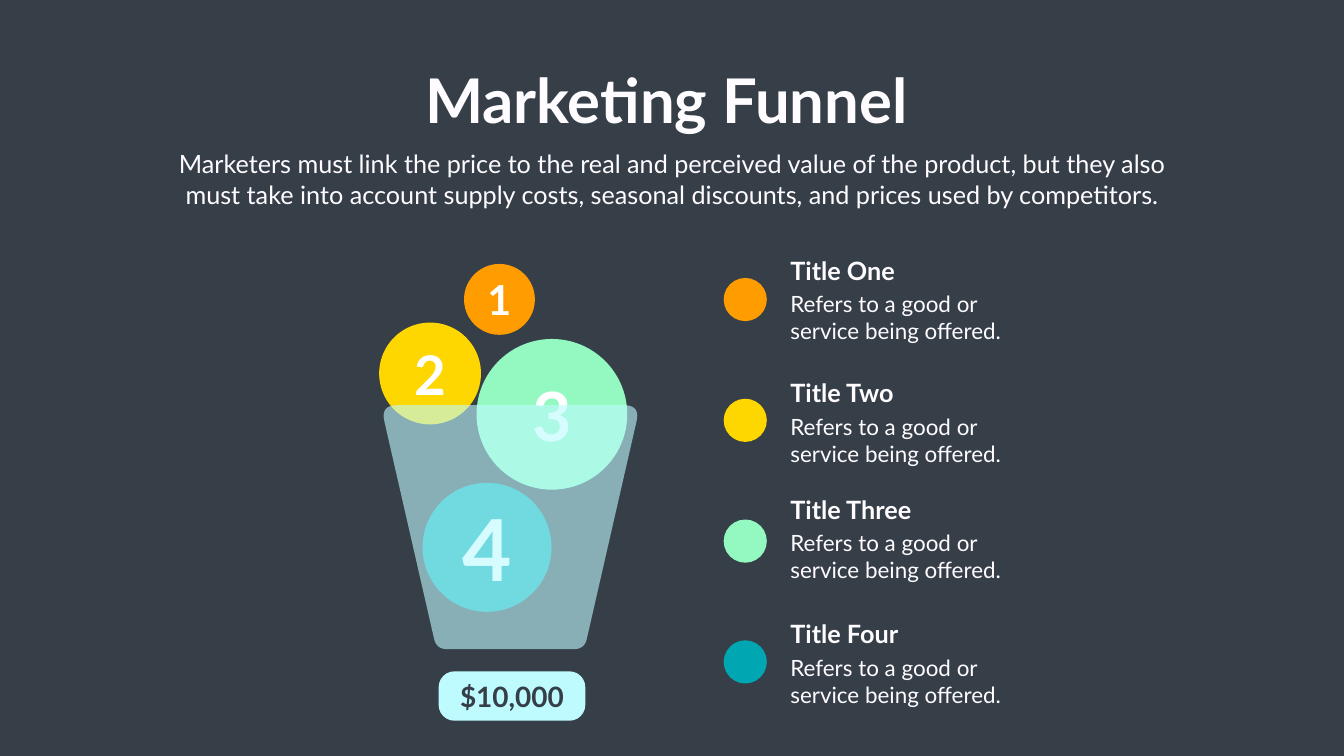
from lxml.etree import SubElement
from pptx import Presentation
from pptx.dml.color import RGBColor
from pptx.enum.shapes import MSO_SHAPE
from pptx.enum.text import MSO_ANCHOR, PP_ALIGN
from pptx.oxml.ns import qn
from pptx.util import Inches, Pt

SLATE = RGBColor(0x36, 0x3E, 0x48)
ORANGE = RGBColor(0xFF, 0x9D, 0x00)
YELLOW = RGBColor(0xFE, 0xD6, 0x00)
MINT = RGBColor(0x93, 0xF9, 0xC0)
TEAL = RGBColor(0x00, 0xA7, 0xB3)
ICE = RGBColor(0xBD, 0xFB, 0xFF)
WHITE = RGBColor(0xFF, 0xFF, 0xFF)
PALE = RGBColor(0xFE, 0xFC, 0xFF)

COLUMNS, ROWS = 80, 45
ARC_STEPS = 10


class SlideBuilder:
    font = "Lato"

    def __init__(self, deck):
        self.page = deck.slides.add_slide(deck.slide_layouts[6])
        self.column = deck.slide_width / COLUMNS
        self.row = deck.slide_height / ROWS
        background = self.page.background.fill
        background.solid()
        background.fore_color.rgb = SLATE

    def frame(self, left, top, width, height):
        return (round(left * self.column), round(top * self.row),
                round(width * self.column), round(height * self.row))

    def paint(self, shape, color):
        shape.shadow.inherit = False
        shape.fill.solid()
        shape.fill.fore_color.rgb = color
        shape.line.fill.background()

    def set_text(self, text_frame, lines, size, color, bold, align):
        text_frame.text = "\n".join(lines)
        for paragraph in text_frame.paragraphs:
            paragraph.alignment = align
            paragraph.font.name = self.font
            paragraph.font.size = Pt(size)
            paragraph.font.bold = bold
            paragraph.font.color.rgb = color

    def text(self, area, lines, size, bold=False, align=PP_ALIGN.LEFT, wrap=False):
        box = self.page.shapes.add_textbox(*self.frame(*area))
        box.text_frame.word_wrap = wrap
        self.set_text(box.text_frame, lines, size, PALE, bold, align)

    def label(self, shape, caption, size, color):
        text_frame = shape.text_frame
        text_frame.word_wrap = False
        text_frame.vertical_anchor = MSO_ANCHOR.MIDDLE
        text_frame.margin_left = text_frame.margin_right = 0
        text_frame.margin_top = text_frame.margin_bottom = 0
        self.set_text(text_frame, [caption], size, color, True, PP_ALIGN.CENTER)

    def circle(self, center_x, center_y, diameter, color):
        area = self.frame(center_x - diameter / 2, center_y - diameter / 2, diameter, diameter)
        shape = self.page.shapes.add_shape(MSO_SHAPE.OVAL, *area)
        self.paint(shape, color)
        return shape

    def pill(self, area, caption, size):
        shape = self.page.shapes.add_shape(MSO_SHAPE.ROUNDED_RECTANGLE, *self.frame(*area))
        shape.adjustments[0] = 0.32
        self.paint(shape, ICE)
        self.label(shape, caption, size, SLATE)

    def rounded_outline(self, corners, cuts, color, opacity):
        points = []
        for index, (corner, cut) in enumerate(zip(corners, cuts)):
            neighbours = corners[index - 1], corners[(index + 1) % len(corners)]
            start, end = (toward(corner, other, cut) for other in neighbours)
            for step in range(ARC_STEPS + 1):
                t = step / ARC_STEPS
                x, y = ((1 - t) ** 2 * a + 2 * t * (1 - t) * b + t ** 2 * c
                        for a, b, c in zip(start, corner, end))
                points.append((round(x * self.column), round(y * self.row)))
        builder = self.page.shapes.build_freeform(*points[0])
        builder.add_line_segments(points[1:], close=True)
        shape = builder.convert_to_shape()
        self.paint(shape, color)
        tint = shape.element.spPr.find(qn("a:solidFill")).find(qn("a:srgbClr"))
        SubElement(tint, qn("a:alpha")).set("val", str(opacity * 1000))


def toward(point, target, distance):
    dx, dy = target[0] - point[0], target[1] - point[1]
    share = distance / (dx ** 2 + dy ** 2) ** 0.5
    return point[0] + dx * share, point[1] + dy * share


def main():
    deck = Presentation()
    deck.slide_width, deck.slide_height = Inches(26.66), Inches(15)
    slide = SlideBuilder(deck)

    slide.text((24.64, 3.51, 30.04, 4.74), ["Marketing Funnel"], 88, True, PP_ALIGN.CENTER)
    slide.text((9.09, 8.7, 61.82, 3.93),
               ["Marketers must link the price to the real and perceived value of the product, "
                "but they also must take into account supply costs, seasonal discounts, "
                "and prices used by competitors."],
               36, align=PP_ALIGN.CENTER, wrap=True)

    legend = [("Title One", ORANGE, 15.03), ("Title Two", YELLOW, 22.32),
              ("Title Three", MINT, 29.25), ("Title Four", TEAL, 36.66)]
    for index, (title, color, top) in enumerate(legend):
        slide.circle(44.36, 17.83 + 7.19 * index, 2.57, color)
        slide.text((46.75, top, 8, 2.13), [title], 36, True)
        slide.text((46.75, top + 2.12, 13.38, 3.54),
                   ["Refers to a good or", "service being offered."], 32)

    balls = [("2", 25.6, 22.23, 6.06, YELLOW, 78), ("4", 28.99, 32.58, 7.68, TEAL, 122),
             ("1", 29.73, 17.82, 4.22, ORANGE, 59), ("3", 32.85, 24.66, 8.97, MINT, 97)]
    for number, center_x, center_y, diameter, color, size in balls:
        ball = slide.circle(center_x, center_y, diameter, color)
        slide.label(ball, number, size, WHITE)

    slide.pill((26.11, 39.96, 8.73, 2.94), "$10,000", 40)
    slide.rounded_outline([(22.66, 24.12), (38.11, 24.12), (34.79, 38.64), (25.98, 38.64)],
                          [0.97, 0.97, 0.63, 0.63], ICE, 60)

    deck.save("out.pptx")


if __name__ == "__main__":
    main()
